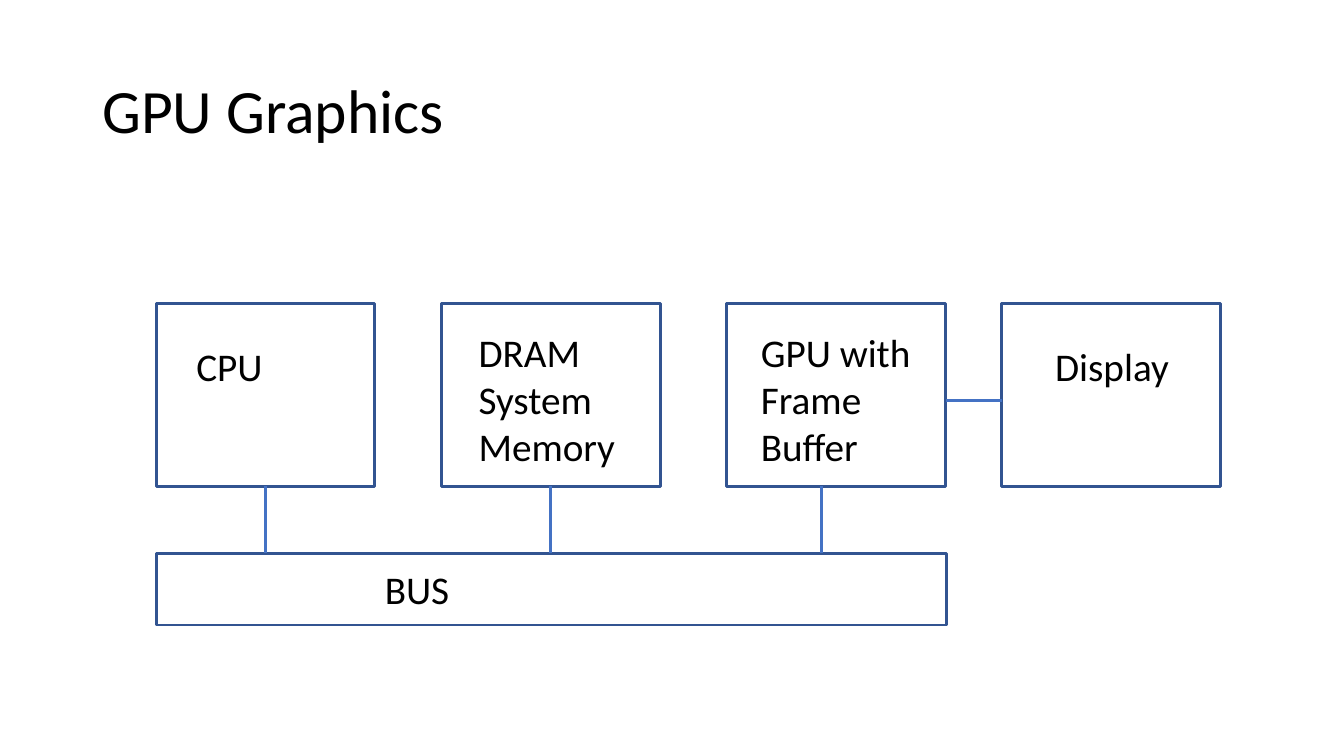
from lxml import etree
from pptx import Presentation
from pptx.dml.color import RGBColor
from pptx.enum import shapes, text
from pptx.oxml import ns
from pptx.util import Pt

FONT = "Calibri"
BLACK, BOX_LINE, LINK = "000000", "325491", "4472C4"
BOX_TOP, BOX_WIDTH, BOX_HEIGHT = 217, 156.2, 130.5
BOX_BOTTOM = BOX_TOP + BOX_HEIGHT
BUS_LEFT, BUS_TOP, BUS_WIDTH, BUS_HEIGHT = 111.6, 395.3, 564.4, 51.1

BOXES = {"CPU": 111.6, "DRAM": 315.4, "GPU": 519.2, "Display": 715.6}

LABELS = [
    (["CPU"], 133.2, 241.2, 72, 41.2),
    (["DRAM", "System", "Memory"], 334.8, 231.1, 113.8, 108.7),
    (["GPU with", "Frame", "Buffer"], 536.4, 231.1, 128.2, 108.7),
    (["Display"], 746.6, 241.2, 101.5, 41.2),
    (["BUS"], 267.8, 400.3, 72, 41.2),
]


def color(value):
    return RGBColor.from_string(value)


def add_box(slide, left, top, width, height):
    shape = slide.shapes.add_shape(
        shapes.MSO_SHAPE.RECTANGLE, Pt(left), Pt(top), Pt(width), Pt(height))
    shape.shadow.inherit = False
    shape.fill.background()
    shape.line.color.rgb = color(BOX_LINE)
    shape.line.width = Pt(2)
    return shape


def add_label(slide, lines, left, top, width, height, size=28, spacing=None,
              anchor=text.MSO_ANCHOR.TOP):
    label = slide.shapes.add_textbox(Pt(left), Pt(top), Pt(width), Pt(height))
    frame = label.text_frame
    frame.word_wrap = True
    frame.vertical_anchor = anchor
    frame.text = "\n".join(lines)
    for paragraph in frame.paragraphs:
        paragraph.line_spacing = spacing
        paragraph.font.name = FONT
        paragraph.font.size = Pt(size)
        paragraph.font.color.rgb = color(BLACK)


def add_link(slide, start_x, start_y, end_x, end_y):
    link = slide.shapes.add_connector(
        shapes.MSO_CONNECTOR.STRAIGHT,
        Pt(start_x), Pt(start_y), Pt(end_x), Pt(end_y))
    link.line.color.rgb = color(LINK)
    link.line.width = Pt(2)
    etree.SubElement(link._element.spPr, ns.qn("a:effectLst"))
    return link


def main():
    presentation = Presentation()
    presentation.slide_width, presentation.slide_height = Pt(960), Pt(540)
    slide = presentation.slides.add_slide(presentation.slide_layouts[6])

    add_label(slide, ["GPU Graphics"], 66, 28.8, 828, 104.4, size=44,
              spacing=0.9, anchor=text.MSO_ANCHOR.MIDDLE)
    boxes = {name: add_box(slide, left, BOX_TOP, BOX_WIDTH, BOX_HEIGHT)
             for name, left in BOXES.items()}
    add_box(slide, BUS_LEFT, BUS_TOP, BUS_WIDTH, BUS_HEIGHT)
    for label in LABELS:
        add_label(slide, *label)

    for name in ("CPU", "DRAM"):
        middle = BOXES[name] + BOX_WIDTH / 2
        link = add_link(slide, middle, BOX_BOTTOM, middle, BUS_TOP)
        link.begin_connect(boxes[name], 2)
    add_link(slide, 586.8, BOX_BOTTOM, 586.8, BUS_TOP)
    add_link(slide, BOXES["GPU"] + BOX_WIDTH, 285.8, BOXES["Display"], 285.8)

    presentation.save("out.pptx")


if __name__ == "__main__":
    main()
